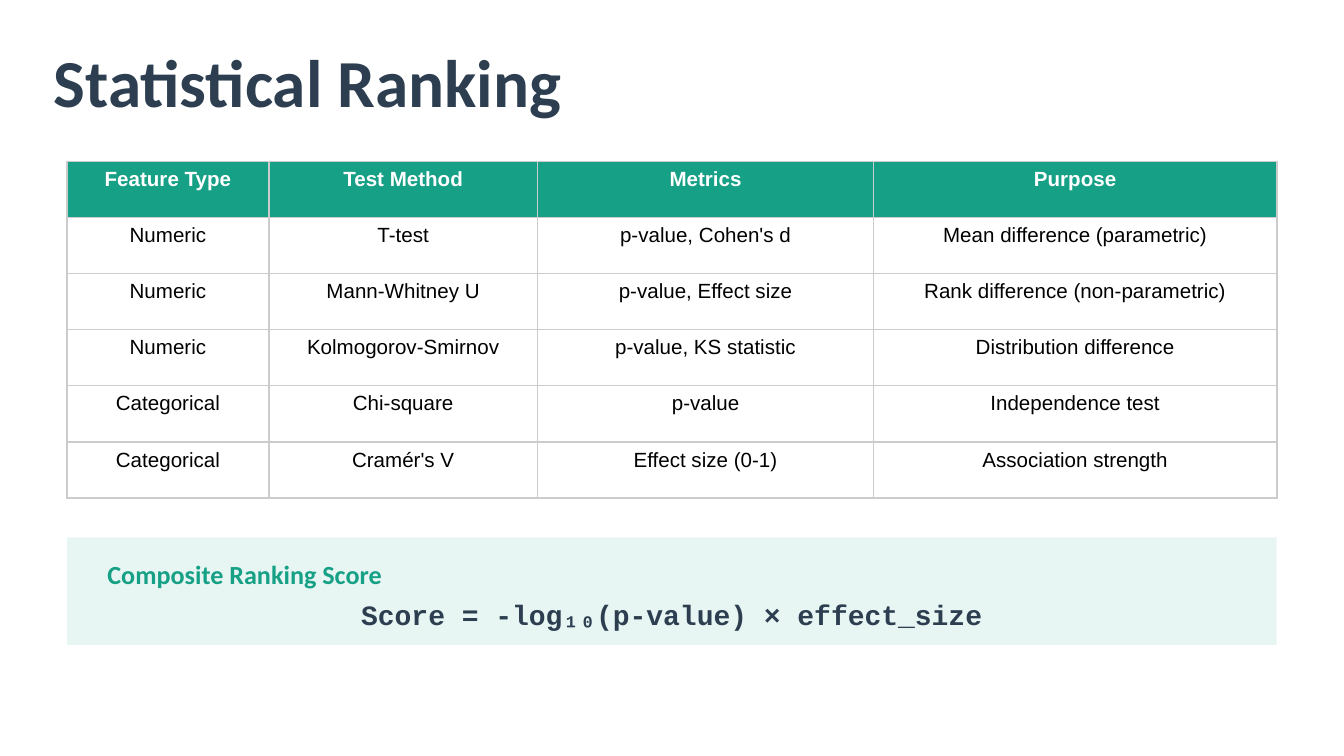
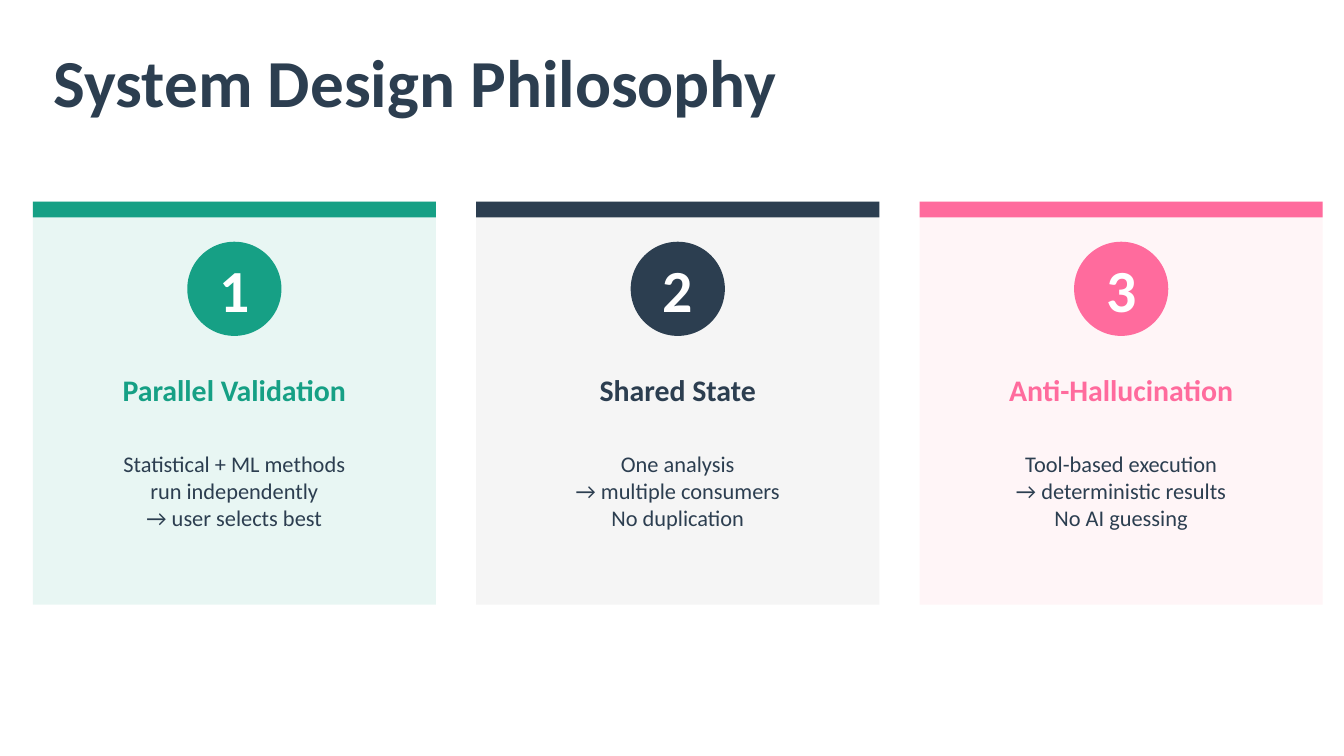
from lxml import etree
from pptx import Presentation
from pptx.dml.color import RGBColor
from pptx.enum.shapes import MSO_SHAPE
from pptx.enum.text import MSO_ANCHOR, MSO_AUTO_SIZE, PP_ALIGN
from pptx.oxml.ns import qn
from pptx.util import Cm, Pt

RECTANGLE, OVAL = MSO_SHAPE.RECTANGLE, MSO_SHAPE.OVAL
LEFT, CENTER = PP_ALIGN.LEFT, PP_ALIGN.CENTER
MIDDLE, TOP = MSO_ANCHOR.MIDDLE, MSO_ANCHOR.TOP
NO_AUTOFIT = MSO_AUTO_SIZE.NONE

# Shared colours and fonts
NAVY = RGBColor(0x2C, 0x3E, 0x50)
GREEN = RGBColor(0x16, 0xA0, 0x85)
PINK = RGBColor(0xFF, 0x6B, 0x9D)
PALE_GREEN = RGBColor(0xE8, 0xF6, 0xF3)
PALE_GREY = RGBColor(0xF5, 0xF5, 0xF5)
PALE_PINK = RGBColor(0xFF, 0xF5, 0xF7)
BORDER_GREY = RGBColor(0xCC, 0xCC, 0xCC)
WHITE = RGBColor(0xFF, 0xFF, 0xFF)
BLACK = RGBColor(0x00, 0x00, 0x00)
HEADING_FONT, TABLE_FONT, CODE_FONT = "Calibri", "Arial", "Courier New"


def write_text(owner, lines, size, color, bold=True, font=HEADING_FONT, align=CENTER):
    """Fill a shape or table cell with one paragraph per line."""
    frame = owner.text_frame
    frame.word_wrap = True
    for index, line in enumerate(lines):
        paragraph = frame.paragraphs[0] if index == 0 else frame.add_paragraph()
        paragraph.alignment = align
        run = paragraph.add_run()
        run.text = line
        run.font.name = font
        run.font.size = Pt(size)
        run.font.bold = bold
        run.font.color.rgb = color


def add_box(slide, left, top, width, height, kind=None, fill=None):
    """Add a filled shape, or a text box when no kind is given; lengths in cm."""
    place = [Cm(length) for length in (left, top, width, height)]
    if kind is None:
        shape = slide.shapes.add_textbox(*place)
        shape.text_frame.vertical_anchor = MIDDLE
        return shape
    shape = slide.shapes.add_shape(kind, *place)
    shape.shadow.inherit = False
    shape.fill.solid()
    shape.fill.fore_color.rgb = fill
    shape.line.fill.background()
    return shape


presentation = Presentation()
presentation.slide_width = Cm(25.4)
presentation.slide_height = Cm(14.29)
title_only = presentation.slide_layouts[5]

# Both slides with their titles
slides = []
for heading in ("Statistical Ranking", "System Design Philosophy"):
    slide = presentation.slides.add_slide(title_only)
    title = slide.shapes.title
    title.left, title.top = Cm(0.76), Cm(0.76)
    title.width, title.height = Cm(22.86), Cm(1.52)
    title.text_frame.auto_size = NO_AUTOFIT
    title.text_frame.vertical_anchor = MIDDLE
    write_text(title, [heading], 36, NAVY, align=LEFT)
    slides.append(slide)
ranking_slide, philosophy_slide = slides

# Table of test methods
TEST_ROWS = [
    ("Feature Type", "Test Method", "Metrics", "Purpose"),
    ("Numeric", "T-test", "p-value, Cohen's d", "Mean difference (parametric)"),
    ("Numeric", "Mann-Whitney U", "p-value, Effect size", "Rank difference (non-parametric)"),
    ("Numeric", "Kolmogorov-Smirnov", "p-value, KS statistic", "Distribution difference"),
    ("Categorical", "Chi-square", "p-value", "Independence test"),
    ("Categorical", "Cramér's V", "Effect size (0-1)", "Association strength"),
]
COLUMN_WIDTHS = (3.81, 5.08, 6.35, 7.62)
ROW_HEIGHT = 1.06

table = ranking_slide.shapes.add_table(
    len(TEST_ROWS), len(COLUMN_WIDTHS), Cm(1.27), Cm(3.05),
    Cm(sum(COLUMN_WIDTHS)), Cm(ROW_HEIGHT * len(TEST_ROWS))).table
table.horz_banding = False
for column, width in zip(table.columns, COLUMN_WIDTHS):
    column.width = Cm(width)
for row_index, texts in enumerate(TEST_ROWS):
    is_header = row_index == 0
    table.rows[row_index].height = Cm(ROW_HEIGHT)
    for column_index, text in enumerate(texts):
        cell = table.cell(row_index, column_index)
        cell.vertical_anchor = TOP
        write_text(cell, [text], 11, WHITE if is_header else BLACK, is_header, TABLE_FONT)
        # Borders come before the fill in the cell properties
        properties = cell._tc.get_or_add_tcPr()
        for side in ("a:lnL", "a:lnR", "a:lnT", "a:lnB"):
            border = etree.SubElement(properties, qn(side), w=str(Pt(1)))
            solid = etree.SubElement(border, qn("a:solidFill"))
            etree.SubElement(solid, qn("a:srgbClr"), val=str(BORDER_GREY))
        if is_header:
            cell.fill.solid()
            cell.fill.fore_color.rgb = GREEN
        else:
            cell.fill.background()

# Score formula panel
add_box(ranking_slide, 1.27, 10.16, 22.86, 2.03, RECTANGLE, PALE_GREEN)
label = add_box(ranking_slide, 1.78, 10.54, 21.84, 0.64)
write_text(label, ["Composite Ranking Score"], 14, GREEN, align=LEFT)
formula = add_box(ranking_slide, 1.78, 11.3, 21.84, 0.64)
write_text(formula, ["Score = -log₁₀(p-value) × effect_size"], 15, NAVY, font=CODE_FONT)

# Three numbered principle cards
PRINCIPLES = [
    ("Parallel Validation", GREEN, PALE_GREEN,
     ["Statistical + ML methods", "run independently", "→ user selects best"]),
    ("Shared State", NAVY, PALE_GREY,
     ["One analysis", "→ multiple consumers", "No duplication"]),
    ("Anti-Hallucination", PINK, PALE_PINK,
     ["Tool-based execution", "→ deterministic results", "No AI guessing"]),
]
CARD_LEFT, CARD_TOP, CARD_SIZE, CARD_GAP = 0.62, 3.81, 7.62, 0.76
BADGE_SIZE, CARD_PADDING = 1.78, 0.51

for index, (name, accent, background, lines) in enumerate(PRINCIPLES):
    left = CARD_LEFT + index * (CARD_SIZE + CARD_GAP)
    add_box(philosophy_slide, left, CARD_TOP, CARD_SIZE, CARD_SIZE, RECTANGLE, background)
    add_box(philosophy_slide, left, CARD_TOP, CARD_SIZE, 0.3, RECTANGLE, accent)

    badge_place = (left + (CARD_SIZE - BADGE_SIZE) / 2, 4.57, BADGE_SIZE, BADGE_SIZE)
    add_box(philosophy_slide, *badge_place, OVAL, accent)
    number = add_box(philosophy_slide, *badge_place)
    write_text(number, [str(index + 1)], 32, WHITE)

    text_left, text_width = left + CARD_PADDING, CARD_SIZE - 2 * CARD_PADDING
    card_heading = add_box(philosophy_slide, text_left, 6.86, text_width, 1.02)
    write_text(card_heading, [name], 16, accent)
    card_body = add_box(philosophy_slide, text_left, 8.13, text_width, 2.29)
    write_text(card_body, lines, 12, NAVY, bold=False)

presentation.save("out.pptx")
